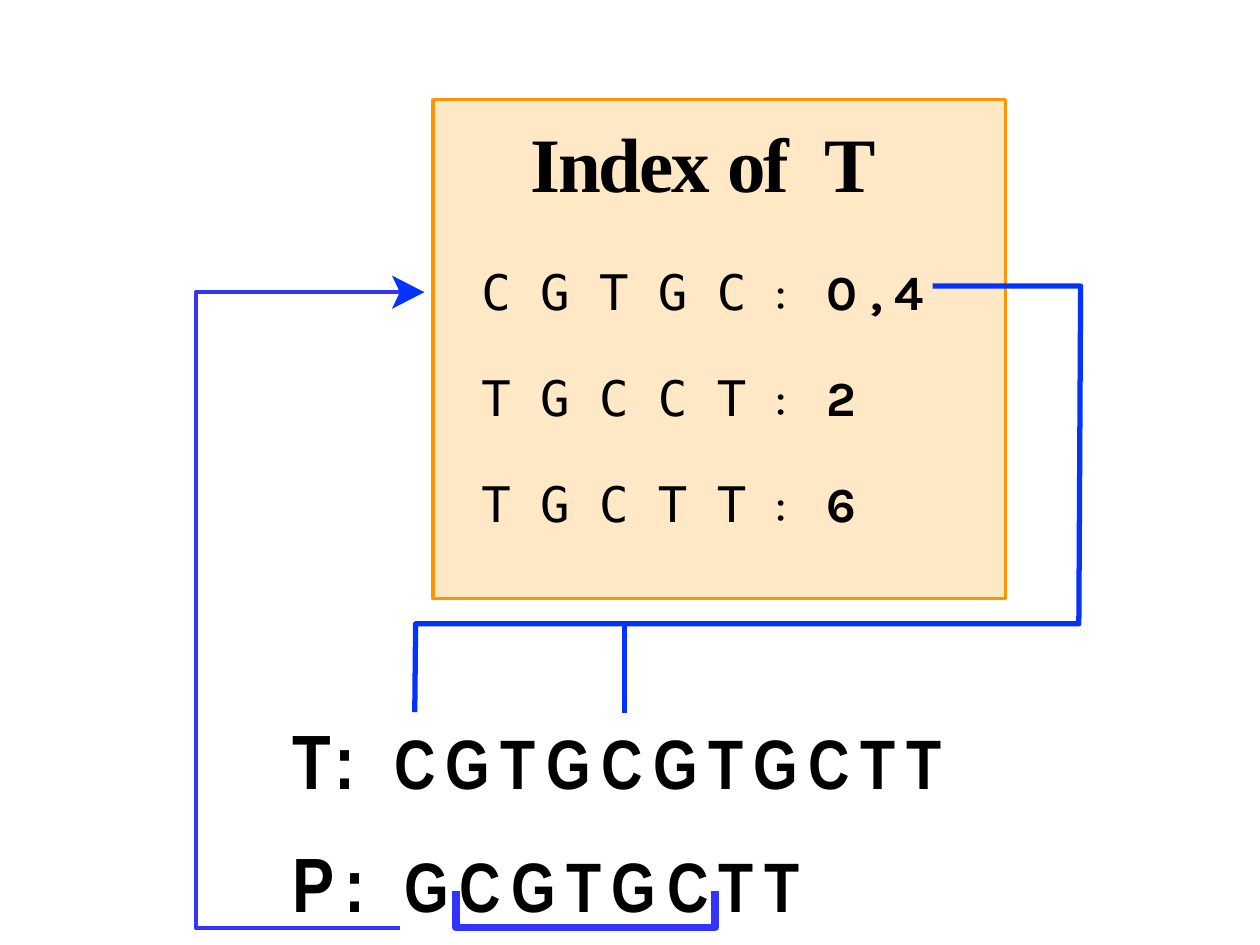
from lxml import etree
from pptx import Presentation
from pptx import util as u
from pptx.dml.color import RGBColor
from pptx.enum import shapes, text
from pptx.oxml.ns import qn

COLORS = {
    "ink": "000000",
    "card": "FFB43F",
    "card line": "FF9300",
    "cell": "FFE8C5",
    "link": "0433FF",
    "lookup": "3333FF",
}
NO_TABLE_STYLE = "{2D5ABB26-0587-4C30-8999-92F81FD0307C}"


def color(name):
    return RGBColor.from_string(COLORS[name])


def points(values):
    return [u.Pt(value) for value in values]


def add_span(para, words, font, size, bold=False, spacing=0):
    """Add a run; spacing is the tracking in points."""
    span = para.add_run()
    span.text = words
    span.font.name = font
    span.font.size = u.Pt(size)
    span.font.bold = bold
    span.font.color.rgb = color("ink")
    if spacing:
        span._r.get_or_add_rPr().set("spc", str(round(spacing * 100)))


class SlideBuilder:
    def __init__(self, page):
        self.page = page
        self.shapes = page.shapes

    def format_frame(self, frame, anchor):
        frame.margin_left = frame.margin_right = frame.margin_bottom = 0
        frame.margin_top = u.Pt(1)
        frame.word_wrap = True
        frame.auto_size = text.MSO_AUTO_SIZE.NONE
        frame.vertical_anchor = anchor
        para = frame.paragraphs[0]
        para.alignment = text.PP_ALIGN.LEFT
        para.space_before = u.Pt(0)
        return para

    def title(self, bounds, spans):
        """Move the title above the card and fill it with (words, spacing) pairs."""
        box = self.shapes.title
        box.left, box.top, box.width, box.height = points(bounds)
        self.shapes._spTree.append(box._element)
        para = self.format_frame(box.text_frame, text.MSO_ANCHOR.MIDDLE)
        for words, spacing in spans:
            add_span(para, words, "Times New Roman", 44, bold=True, spacing=spacing)

    def sequence(self, bounds, label, letters):
        box = self.shapes.add_textbox(*points(bounds))
        para = self.format_frame(box.text_frame, text.MSO_ANCHOR.TOP)
        for words, size in ((label, 44), (letters, 40)):
            add_span(para, words, "Arial Narrow", size, bold=True, spacing=6)

    def style_line(self, shape, line_color, width):
        shape.line.color.rgb = color(line_color)
        shape.line.width = u.Pt(width)

    def card(self, bounds):
        card = self.shapes.add_shape(shapes.MSO_SHAPE.RECTANGLE, *points(bounds))
        card.shadow.inherit = False
        card.fill.solid()
        card.fill.fore_color.rgb = color("card")
        fill = card._element.spPr.find(qn("a:solidFill"))
        etree.SubElement(fill[0], qn("a:alpha"), val="30000")
        self.style_line(card, "card line", 2)

    def bracket(self, bounds, width, rotation=0):
        bracket = self.shapes.add_shape(shapes.MSO_SHAPE.LEFT_BRACKET, *points(bounds))
        bracket.adjustments[0] = 0
        bracket.rotation = rotation
        bracket.shadow.inherit = False
        bracket.fill.background()
        self.style_line(bracket, "lookup", width)

    def outline(self, corners, close):
        corners = [tuple(points(corner)) for corner in corners]
        builder = self.shapes.build_freeform(*corners[0])
        builder.add_line_segments(corners[1:], close=close)
        shape = builder.convert_to_shape()
        shape.shadow.inherit = False
        return shape

    def arrowhead(self, corners):
        head = self.outline(corners, close=True)
        head.fill.solid()
        head.fill.fore_color.rgb = color("link")
        head.line.fill.background()

    def route(self, corners):
        route = self.outline(corners, close=False)
        route.fill.background()
        self.style_line(route, "link", 3)

    def line(self, start, end):
        line = self.shapes.add_connector(
            shapes.MSO_CONNECTOR.STRAIGHT, *points(start + end))
        etree.SubElement(line._element.spPr, qn("a:effectLst"))
        self.style_line(line, "link", 3)
        # the effect list must follow the line properties
        line._element.spPr.append(line._element.spPr.find(qn("a:effectLst")))

    def index_table(self, bounds, widths, entries):
        frame = self.shapes.add_table(len(entries), len(widths), *points(bounds))
        table = frame.table
        table.first_row = table.horz_banding = False
        table._tbl.tblPr.find(qn("a:tableStyleId")).text = NO_TABLE_STYLE
        for column, width in zip(table.columns, widths):
            column.width = u.Pt(width)
        for row, (letters, places) in enumerate(entries):
            key = self.cell(table.cell(row, 0), indent=2)
            add_span(key, letters + " ", "DejaVu Sans Mono", 28)
            add_span(key, ":", "Karla", 28)
            value = self.cell(table.cell(row, 1), indent=10)
            add_span(value, places, "Karla", 28, bold=True)

    def cell(self, cell, indent):
        cell.fill.solid()
        cell.fill.fore_color.rgb = color("cell")
        cell.margin_left = cell.margin_right = 0
        cell.margin_top = cell.margin_bottom = 0
        para = cell.text_frame.paragraphs[0]
        para.line_spacing = u.Pt(34)
        para._p.get_or_add_pPr().set("marL", str(u.Pt(indent)))
        return para


def main():
    deck = Presentation()
    deck.slide_width, deck.slide_height = points((720, 540))
    slide = SlideBuilder(deck.slides.add_slide(deck.slide_layouts[5]))

    slide.sequence((167, 406, 425.5, 54), "T: ", "CGTGCGTGCTT")
    slide.card((247.5, 57, 327, 285))
    slide.index_table((273, 150.5, 276, 181.5), (189.5, 86.5), [
        ("C G T G C", "0 , 4"),
        ("T G C C T", "2"),
        ("T G C T T", "6"),
    ])
    slide.title((303, 65, 220, 54),
                [("Index ", -1.2), ("of", -1.6), (" ", 9.4), ("T", -2.6)])
    slide.sequence((167, 476.5, 425.5, 54), "P: ", "GCGTGCTT")

    # Lookup from the pattern to the index
    slide.bracket((112, 167, 116.5, 363.5), 2.25)
    slide.arrowhead([(224, 157.5), (228.5, 167), (224, 176.5), (242.5, 167)])
    slide.bracket((324, 445.5, 21, 148), 4.5, rotation=270)

    # Index places linked to the text
    slide.route([(237, 407), (237.5, 356.5), (616.5, 356.5),
                 (617.5, 163.5), (533, 163.5)])
    slide.line((357, 357), (357, 407.5))

    deck.save("out.pptx")


if __name__ == "__main__":
    main()
